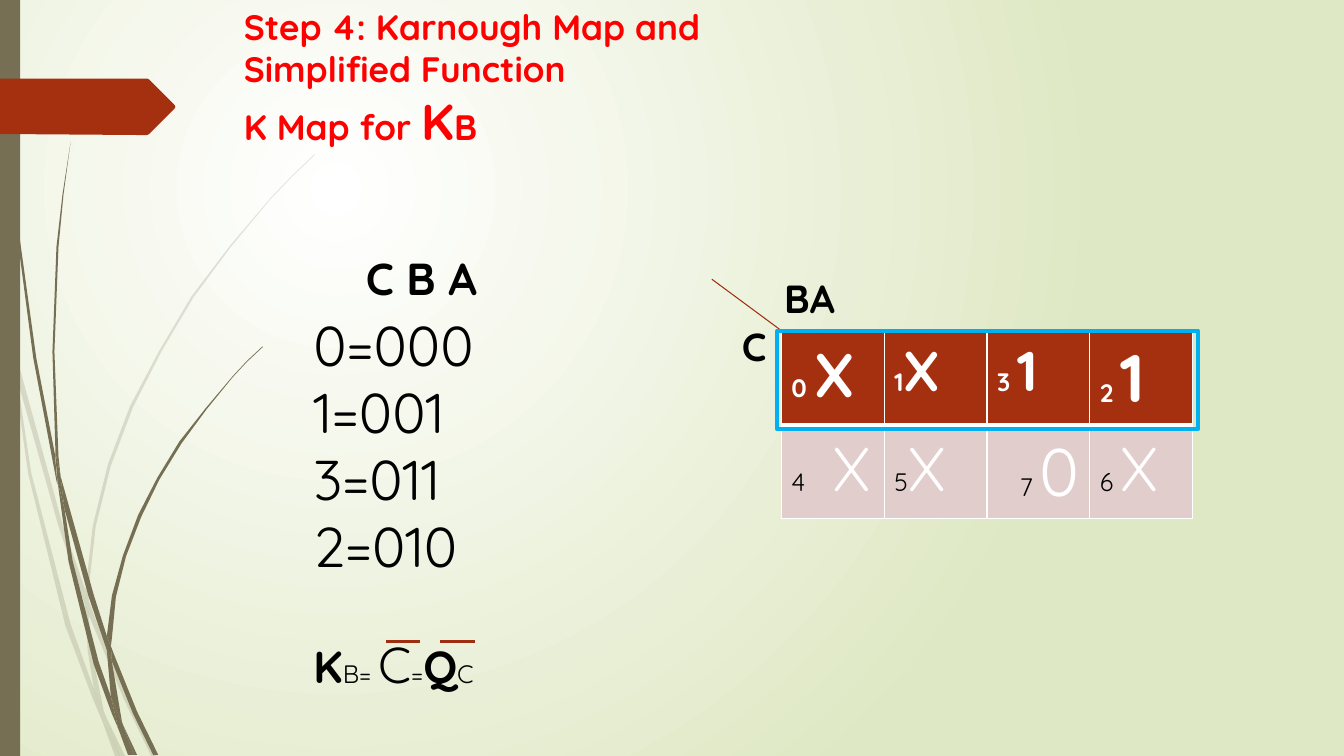
from dataclasses import dataclass

from lxml import etree
from pptx import Presentation
from pptx import util as u
from pptx.dml.color import RGBColor
from pptx.enum import shapes, text
from pptx.oxml import ns

BLACK = RGBColor(0, 0, 0)
WHITE = RGBColor(255, 255, 255)
RED = RGBColor(255, 0, 0)
RUST = RGBColor(0xA5, 0x30, 0x10)
DARK_RUST = RGBColor(0x9E, 0x2E, 0x0F)
PINK = RGBColor(0xE1, 0xCD, 0xCC)
OLIVE = RGBColor(0x76, 0x6F, 0x54)
PALE_GREEN = RGBColor(0xDF, 0xE8, 0xC4)
BLUE = RGBColor(0x00, 0xB0, 0xF0)
FONT = "Quicksand"


@dataclass
class Run:
    text: str
    size: float
    bold: bool = False
    color: RGBColor = BLACK


@dataclass
class Box:
    at: tuple[float, float, float, float]
    paragraphs: list[list[Run]]
    grow: bool = True


@dataclass
class Line:
    start: tuple[float, float]
    end: tuple[float, float]
    width: float


# Outline points of the grass blades, as "x,y" pairs
PALE_BLADES = [
    "0.11,3.5 0.09,3.22 0,2.82 0,2.99 0.1,3.44",
    "0.58,5.22 0.84,5.99 0.85,5.86 0.62,5.2 0.14,3.45 0.17,3.76",
    "0.92,6.07 0.88,5.96 0.88,6.1 1.23,6.94 1.5,7.5 1.55,7.5 1.27,6.92",
    "1.19,7.5 1.24,7.5 1.05,7.11",
    "0.93,6.83 0.7,6.19 0.31,4.69 0.17,3.76 0.11,3.5 0.28,4.7 0.65,6.21 0.92,6.93 1.01,7.14 "
    "0.99,7.07",
    "0.84,5.99 0.87,6.46 0.93,6.83 0.96,6.92 1.05,7.11 1.03,7.06 0.91,6.46 0.88,6.1 0.88,6.08",
    "0.88,5.84 0.95,5.22 1.1,4.62 1.32,4.04 1.6,3.49 1.92,2.95 2.29,2.45 2.68,1.98 2.9,1.75 "
    "3.12,1.54 3.12,1.53 2.89,1.75 2.68,1.97 2.28,2.44 1.9,2.94 1.58,3.48 1.29,4.03 1.07,4.61 "
    "0.92,5.22 0.85,5.84 0.85,5.86 0.88,5.96",
    "1.01,7.14 1.14,7.5 1.19,7.5",
    "0.88,6.08 0.88,6.1 0.88,5.96 0.85,5.86 0.84,5.99",
    "0.96,6.92 0.93,6.83 0.99,7.07 1.01,7.14 1.19,7.5 1.05,7.11",
]
DARK_BLADES = [
    "0.07,1.1 0.17,2.33 0.33,3.55 0.56,4.77 0.57,4.81 0.55,4.57 0.55,4.53 0.36,3.55 0.19,2.32 "
    "0.08,1.09 0.05,0.48 0.04,0 0.03,0 0.04,0.48",
    "0.88,5.92 1.06,6.45 1.06,6.33 1.06,6.31 0.93,5.9 0.6,4.72 0.64,5.05",
    "1.13,6.49 1.1,6.41 1.11,6.56 1.32,7.08 1.52,7.49 1.57,7.49 1.36,7.06",
    "1.1,6.91 0.98,6.57 0.72,5.56 0.64,5.05 0.57,4.77 0.68,5.57 0.93,6.59 1.11,7.08 1.17,7.22 "
    "1.16,7.17",
    "0.6,4.72 0.58,4.53 0.54,3.49 0.58,2.45 0.63,1.93 0.7,1.41 0.62,1.93 0.56,2.45 0.52,3.49 "
    "0.55,4.49",
    "1.33,7.49 1.36,7.49 1.22,7.19",
    "0.57,4.77 0.64,5.05 0.6,4.72 0.55,4.49 0.55,4.53",
    "1.11,6.33 1.15,5.92 1.25,5.52 1.4,5.13 1.58,4.76 1.8,4.4 2.05,4.06 2.31,3.74 2.45,3.59 "
    "2.61,3.44 2.6,3.44 2.45,3.58 2.31,3.73 2.04,4.05 1.78,4.38 1.56,4.74 1.37,5.11 1.22,5.51 "
    "1.11,5.91 1.06,6.31 1.1,6.41",
    "1.17,7.22 1.27,7.49 1.31,7.49",
    "1.06,6.45 1.1,6.91 1.16,7.06 1.22,7.19 1.21,7.16 1.11,6.56 1.09,6.51",
    "1.06,6.45 1.09,6.51 1.11,6.56 1.1,6.41 1.06,6.31 1.06,6.33",
    "1.16,7.06 1.1,6.91 1.16,7.17 1.17,7.22 1.3,7.49 1.33,7.49 1.22,7.19",
]
TAG = "1.73,1.08 1.48,1.33 1.46,1.34 1.36,1.34 0,1.33 0,0.78 1.46,0.78 1.48,0.79 1.73,1.04 1.74,1.06"

BOXES = [
    Box((2.32, 0, 9.75, 1.4), [[
        Run("Step 4: Karnough Map and\nSimplified Function\nK Map for ", 25.2, True, RED),
        Run("K", 36, True, RED), Run("B", 25.2, True, RED)]], grow=False),
    Box((7.68, 2.67, 0.84, 0.57), [[Run("BA", 28, True)]]),
    Box((7.26, 3.15, 0.84, 0.57), [[Run("C", 28, True)]]),
    Box((3.01, 3.03, 4.05, 2.79),
        [[Run(row, 40)] for row in ("0=000", "1=001", "3=011", "2=010")]),
    Box((3.53, 2.44, 2.11, 0.64), [[Run("C B A", 32, True)]]),
    Box((3.01, 6.23, 2.52, 0.71), [[
        Run("K", 32, True), Run("B= ", 18), Run("C", 36), Run("=", 18),
        Run("Q", 32, True), Run("C", 18)]]),
]
LINES = [
    Line((7.06, 2.77), (7.75, 3.28), 0.75),
    Line((3.83, 6.36), (4.17, 6.36), 2.25),
    Line((4.36, 6.36), (4.71, 6.36), 2.25),
]
# Each cell: minterm label, value, value size
K_MAP = [
    [("0 ", "X", 44), ("1", "X", 40), ("3 ", "1", 40), ("2 ", "1", 48)],
    [("4\t", "X", 44), ("5", "X", 44), ("7 ", "0", 48), ("6 ", "X", 44)],
]


def add_runs(p, runs: list[Run]) -> None:
    for run in runs:
        for i, part in enumerate(run.text.split("\n")):
            if i:
                p.add_line_break()
            r = p.add_run()
            r.text = part
            for name, value in {"name": FONT, "size": u.Pt(run.size), "bold": run.bold}.items():
                setattr(r.font, name, value)
            r.font.color.rgb = run.color


def add_outline(s, points: str, color: RGBColor, alpha: int = 100) -> None:
    xy = [tuple(u.Inches(float(n)) for n in pair.split(",")) for pair in points.split()]
    builder = s.shapes.build_freeform(*xy[0])
    builder.add_line_segments(xy[1:], close=True)
    sp = builder.convert_to_shape()
    sp.shadow.inherit = False
    sp.fill.solid()
    sp.fill.fore_color.rgb = color
    sp.line.fill.background()
    if alpha < 100:
        clr = sp.fill._xPr.find(".//" + ns.qn("a:srgbClr"))
        etree.SubElement(clr, ns.qn("a:alpha"), val=str(alpha * 1000))


def add_rect(s, at: tuple[float, float, float, float]):
    sp = s.shapes.add_shape(shapes.MSO_SHAPE.RECTANGLE, *map(u.Inches, at))
    sp.shadow.inherit = False
    return sp


def add_box(s, box: Box) -> None:
    tf = s.shapes.add_textbox(*map(u.Inches, box.at)).text_frame
    size = text.MSO_AUTO_SIZE
    layout = {"word_wrap": True, "auto_size": size.SHAPE_TO_FIT_TEXT if box.grow else size.NONE}
    for name, value in layout.items():
        setattr(tf, name, value)
    for i, runs in enumerate(box.paragraphs):
        add_runs(tf.add_paragraph() if i else tf.paragraphs[0], runs)


def add_line(s, line: Line) -> None:
    sp = s.shapes.add_connector(shapes.MSO_CONNECTOR.STRAIGHT,
                                *map(u.Inches, line.start + line.end))
    sp.line.color.rgb = DARK_RUST
    sp.line.width = u.Pt(line.width)
    etree.SubElement(sp._element.spPr, ns.qn("a:effectLst"))


def set_borders(cell, top: float, bottom: float) -> None:
    tc_pr = cell._tc.get_or_add_tcPr()
    for i, (side, width) in enumerate({"L": 1, "R": 1, "T": top, "B": bottom}.items()):
        ln = etree.Element(ns.qn(f"a:ln{side}"), w=str(u.Pt(width)))
        fill = etree.SubElement(ln, ns.qn("a:solidFill"))
        etree.SubElement(fill, ns.qn("a:srgbClr"), val=str(WHITE))
        tc_pr.insert(i, ln)


def add_k_map(s) -> None:
    table = s.shapes.add_table(2, 4, *map(u.Inches, (7.75, 3.28, 4.08, 1.8))).table
    for i, row in enumerate(K_MAP):
        for j, (label, value, size) in enumerate(row):
            cell, top_row = table.cell(i, j), i == 0
            cell.fill.solid()
            cell.fill.fore_color.rgb = RUST if top_row else PINK
            set_borders(cell, 1 if top_row else 3, 3 if top_row else 1)
            p = cell.text_frame.paragraphs[0]
            add_runs(p, [Run(label, 18, top_row, WHITE if top_row else BLACK),
                         Run(value, size, top_row, WHITE)])
            if label == "7 ":
                p.alignment = text.PP_ALIGN.RIGHT
            if label.endswith("\t"):
                tabs = etree.SubElement(p._p.get_or_add_pPr(), ns.qn("a:tabLst"))
                etree.SubElement(tabs, ns.qn("a:tab"), pos=str(u.Inches(0.41)), algn="l")


def set_background(s) -> None:
    fill = s.background.fill
    fill.gradient()
    for stop, color in zip(fill.gradient_stops, (WHITE, PALE_GREEN)):
        stop.color.rgb = color
    lin = s.element.find(".//" + ns.qn("a:lin"))
    circle = etree.Element(ns.qn("a:path"), path="circle")
    etree.SubElement(circle, ns.qn("a:fillToRect"), l="50000", t="50000", r="100000", b="100000")
    lin.getparent().replace(lin, circle)


def main() -> None:
    prs = Presentation()
    prs.slide_width, prs.slide_height = u.Inches(13.33), u.Inches(7.5)
    s = prs.slides.add_slide(prs.slide_layouts[6])
    set_background(s)

    # Side decoration
    for blade in PALE_BLADES:
        add_outline(s, blade, OLIVE, alpha=20)
    for blade in DARK_BLADES:
        add_outline(s, blade, OLIVE)
    bar = add_rect(s, (0, 0, 0.2, 7.5))
    bar.fill.solid()
    bar.fill.fore_color.rgb = OLIVE
    bar.line.fill.background()
    add_outline(s, TAG, RUST)

    # Karnaugh map, texts and lines
    add_k_map(s)
    for box in BOXES:
        add_box(s, box)
    for line in LINES:
        add_line(s, line)

    # Frame around the grouped top row
    frame = add_rect(s, (7.71, 3.28, 4.17, 0.98))
    frame.fill.background()
    frame.line.color.rgb = BLUE
    frame.line.width = u.Pt(3)
    prs.save("out.pptx")


if __name__ == "__main__":
    main()
